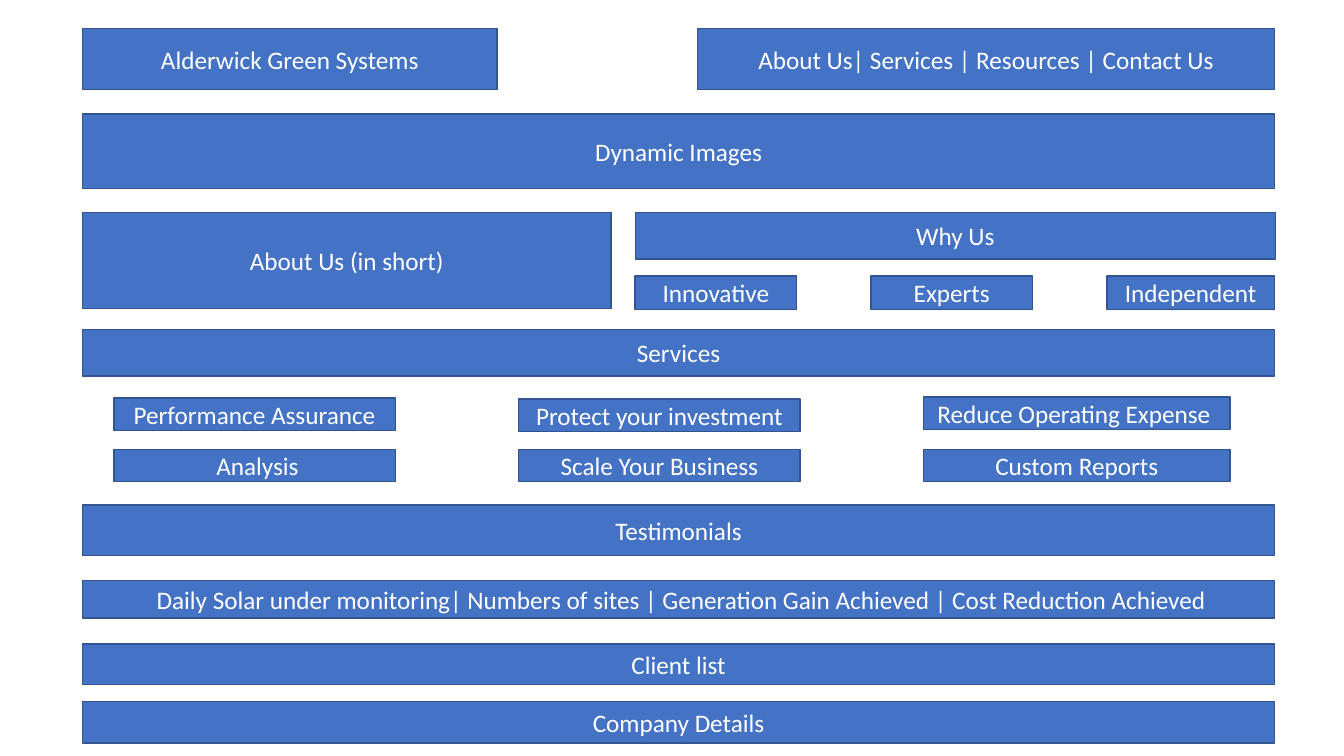
from pptx import Presentation, util as u
from pptx.dml.color import RGBColor
from pptx.enum import text

COLORS = {"box": "4472C4", "border": "325491", "label": "FFFFFF"}
COLUMNS, ROWS = 133.3, 75
LEFT, FULL = 8.2, 118.2


class Wireframe:
    font, size, border_width = "Calibri", u.Pt(18), u.Pt(1)

    def __init__(self, prs):
        self.slide = prs.slides.add_slide(prs.slide_layouts[5])
        self.column = prs.slide_width / COLUMNS
        self.row = prs.slide_height / ROWS

    def place(self, left, top, width, height):
        return (int(left * self.column), int(top * self.row),
                int(width * self.column), int(height * self.row))

    def dress(self, panel, label):
        panel.fill.solid()
        panel.fill.fore_color.rgb = RGBColor.from_string(COLORS["box"])
        panel.line.color.rgb = RGBColor.from_string(COLORS["border"])
        panel.line.width = self.border_width
        frame = panel.text_frame
        frame.text = label
        frame.word_wrap = True
        frame.auto_size = text.MSO_AUTO_SIZE.NONE
        frame.vertical_anchor = text.MSO_ANCHOR.MIDDLE
        paragraph = frame.paragraphs[0]
        paragraph.alignment = text.PP_ALIGN.CENTER
        for run in paragraph.runs:
            run.font.name = self.font
            run.font.size = self.size
            run.font.color.rgb = RGBColor.from_string(COLORS["label"])

    def title(self, label, *cells):
        heading = self.slide.shapes.title
        heading.left, heading.top, heading.width, heading.height = self.place(*cells)
        self.dress(heading, label)

    def box(self, label, *cells):
        panel = self.slide.shapes.add_shape(1, *self.place(*cells))
        panel.shadow.inherit = False
        self.dress(panel, label)


def main():
    prs = Presentation()
    prs.slide_width, prs.slide_height = u.Inches(13.33), u.Inches(7.5)
    page = Wireframe(prs)

    page.title("Alderwick Green Systems", LEFT, 2.8, 41.1, 6.1)
    page.box("About Us| Services | Resources | Contact Us", 69.2, 2.8, 57.2, 6.1)

    bands = [
        ("Dynamic Images", 11.3, 7.4),
        ("Services", 32.7, 4.6),
        ("Testimonials", 50.1, 5),
        (" Daily Solar under monitoring| Numbers of sites | "
         "Generation Gain Achieved | Cost Reduction Achieved", 57.6, 3.7),
        ("Client list", 63.9, 4),
        ("Company Details", 69.6, 4.1),
    ]
    for label, top, height in bands:
        page.box(label, LEFT, top, FULL, height)

    page.box("About Us (in short)", LEFT, 21.1, 52.4, 9.5)
    why_left = 63
    page.box("Why Us", why_left, 21.1, 63.5, 4.6)
    reasons = [("Innovative", 16), ("Experts", 16), ("Independent", 16.6)]
    for index, (reason, width) in enumerate(reasons):
        page.box(reason, why_left + index * 23.4, 27.4, width, 3.3)

    services = [
        (27.9, ("Performance Assurance", 39.5), (" Analysis", 44.6)),
        (27.9, ("Protect your investment", 39.6), ("Scale Your Business", 44.6)),
        (30.4, ("Reduce Operating Expense ", 39.4), ("Custom Reports", 44.6)),
    ]
    for index, (width, *offers) in enumerate(services):
        for offer, top in offers:
            page.box(offer, 11.3 + index * 40.15, top, width, 3.2)

    prs.save("out.pptx")


if __name__ == "__main__":
    main()
